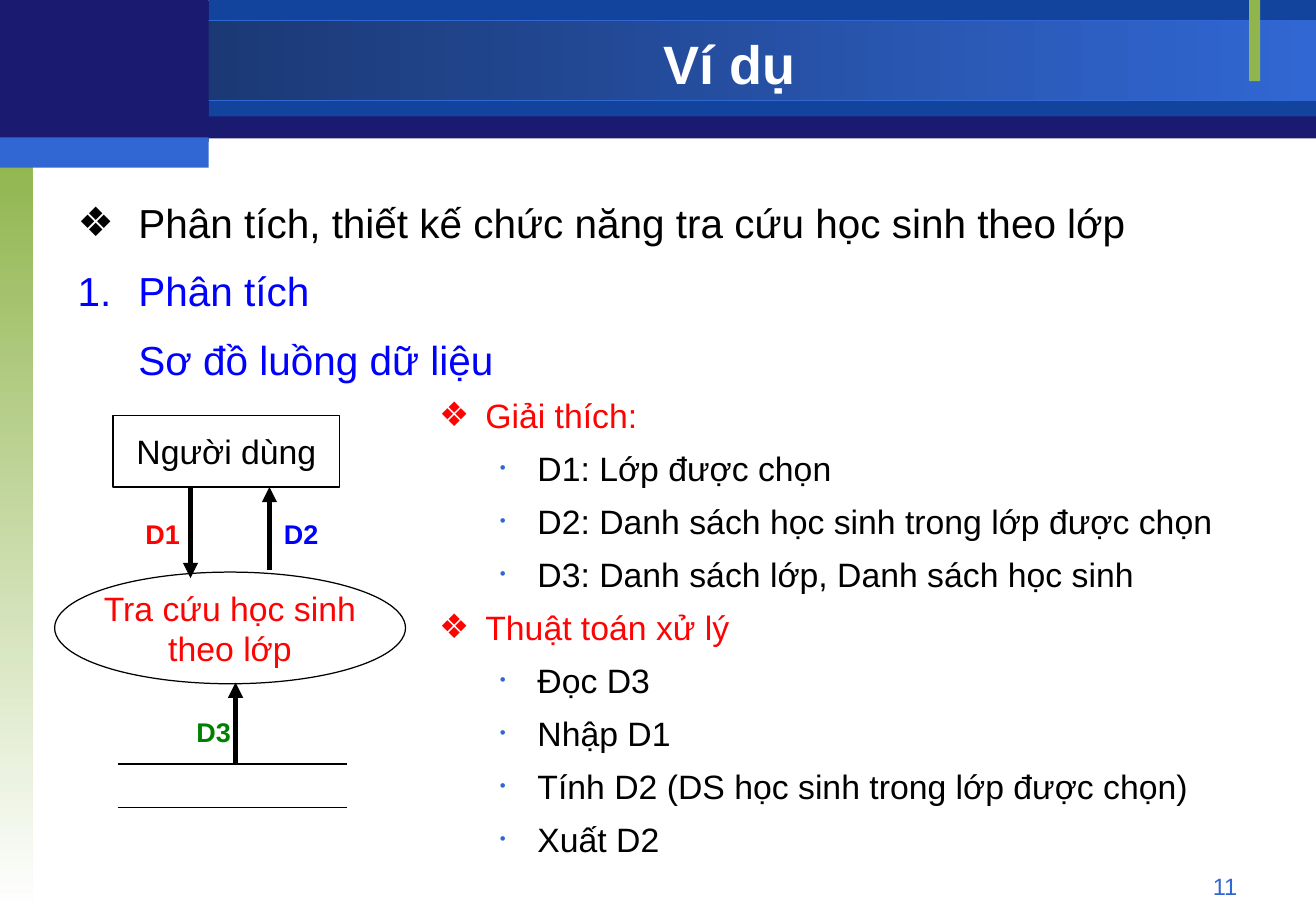
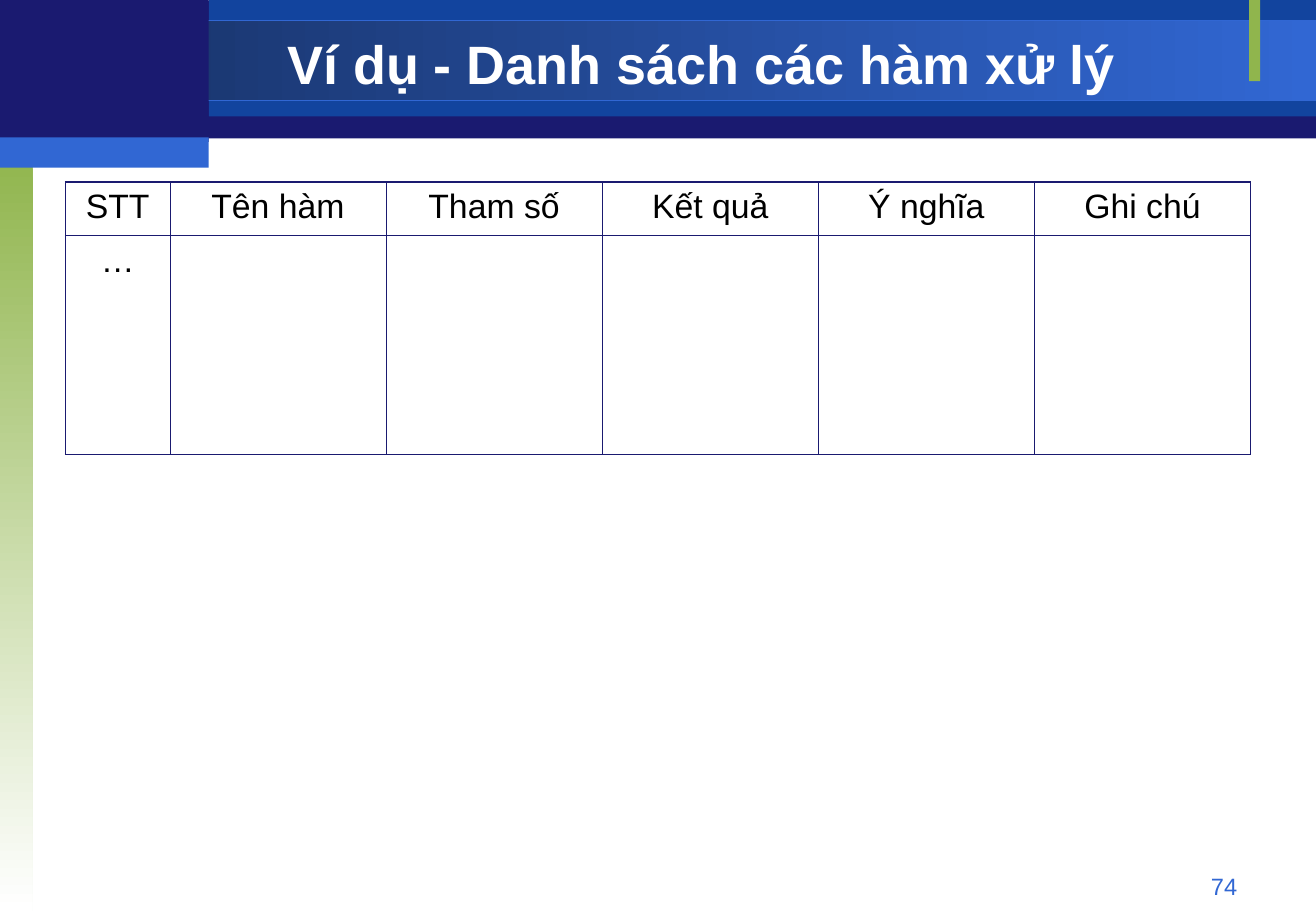
from lxml import etree
from pptx import Presentation
from pptx.dml.color import RGBColor
from pptx.enum.shapes import MSO_CONNECTOR, MSO_SHAPE
from pptx.enum.text import MSO_ANCHOR, MSO_AUTO_SIZE, PP_ALIGN
from pptx.oxml.ns import qn
from pptx.util import Pt

LINE = MSO_CONNECTOR.STRAIGHT
RECT, OVAL = MSO_SHAPE.RECTANGLE, MSO_SHAPE.OVAL
MIDDLE, TOP = MSO_ANCHOR.MIDDLE, MSO_ANCHOR.TOP
NO_FIT = MSO_AUTO_SIZE.NONE
LEFT, CENTER = PP_ALIGN.LEFT, PP_ALIGN.CENTER
RIGHT, JUST = PP_ALIGN.RIGHT, PP_ALIGN.JUSTIFY

FONT = "Arial"
WIDE, HIGH = 780.48, 540
NAVY, DEEP, SKY, GREEN = "1A1A70", "12449E", "3167D3", "90B54D"
BLACK, WHITE, RED, BLUE, LEAF = "000000", "FFFFFF", "FF0303", "0000FF", "008000"
SIDE = 123.8
EDGE, GRID = 1.08, 0.45

BANDS = [
    ((0, 0.7, WIDE, 81.4), NAVY),
    ((SIDE, 0, WIDE - SIDE, 69.1), DEEP),
    ((0, 12.2, WIDE, 47.5), ("173062", SKY, 0)),
    ((0, 90, 19.4, 450), (GREEN, WHITE, 270)),
    ((740.9, 0, 6.5, 48.2), GREEN),
    ((0, 0, SIDE, 84.2), NAVY),
    ((0, 81.4, SIDE, 18), SKY),
]

TASK = [
    ("Phân tích, thiết kế chức năng tra cứu học sinh theo lớp", BLACK, "❖"),
    ("Phân tích", BLUE, "1."),
    ("Sơ đồ luồng dữ liệu", BLUE, None),
]

NOTES = [
    ("Giải thích:", [
        "D1: Lớp được chọn",
        "D2: Danh sách học sinh trong lớp được chọn",
        "D3: Danh sách lớp, Danh sách học sinh",
    ]),
    ("Thuật toán xử lý", [
        "Đọc D3",
        "Nhập D1",
        "Tính D2 (DS học sinh trong lớp được chọn)",
        "Xuất D2",
    ]),
]

HEADS = ["STT", "Tên hàm", "Tham số", "Kết quả", "Ý nghĩa", "Ghi chú"]


def rgb(code):
    return RGBColor.from_string(code)


def pts(box):
    return [Pt(n) for n in box]


def place(shape, box):
    shape.left, shape.top, shape.width, shape.height = pts(box)


def sub(node, tag, **attrs):
    return etree.SubElement(node, qn(tag), attrs)


def style(para, size, color, align=LEFT, bold=False):
    para.alignment = align
    font = para.font
    font.name, font.size, font.bold = FONT, Pt(size), bold
    font.color.rgb = rgb(color)


def bullet(para, mark, color, margin, hang, scale=100):
    props = para._p.get_or_add_pPr()
    props.set("marL", str(Pt(margin)))
    props.set("indent", str(Pt(-hang if mark else 0)))
    if not mark:
        sub(props, "a:buNone")
        return
    sub(sub(props, "a:buClr"), "a:srgbClr", val=color)
    sub(props, "a:buSzPct", val=str(scale * 1000))
    sub(props, "a:buFont", typeface=FONT)
    if mark == "1.":
        sub(props, "a:buAutoNum", type="arabicPeriod")
    else:
        sub(props, "a:buChar", char=mark)


def paras(frame, count):
    for _ in range(count - 1):
        frame.add_paragraph()
    return frame.paragraphs


def write(frame, lines, size, color, align=LEFT, bold=False):
    for para, line in zip(paras(frame, len(lines)), lines):
        para.text = line
        style(para, size, color, align, bold)


def fill_list(frame, items, size, space, gap):
    frame.word_wrap = True
    frame.auto_size = NO_FIT
    frame.vertical_anchor = TOP
    rows = paras(frame, len(items))
    for i, (para, (line, color, look)) in enumerate(zip(rows, items)):
        para.text = line
        para.line_spacing = space
        para.space_before = Pt(gap if i else 0)
        bullet(para, *look)
        style(para, size, color, JUST)


def shape(slide, kind, box, fill=None, line=None):
    item = slide.shapes.add_shape(kind, *pts(box))
    item.shadow.inherit = False
    if isinstance(fill, tuple):
        item.fill.gradient()
        item.fill.gradient_angle = fill[2]
        for stop, code in zip(item.fill.gradient_stops, fill):
            stop.color.rgb = rgb(code)
    elif fill:
        item.fill.solid()
        item.fill.fore_color.rgb = rgb(fill)
    else:
        item.fill.background()
    if line:
        item.line.color.rgb = rgb(line)
        item.line.width = Pt(0.75)
    else:
        item.line.fill.background()
    return item


def node(slide, kind, box, lines, color):
    frame = shape(slide, kind, box, line=BLACK).text_frame
    frame.word_wrap = False
    frame.vertical_anchor = MIDDLE
    write(frame, lines, 20, color, CENTER)


def label(slide, box, line, size, color, align=LEFT, bold=False, wrap=True):
    frame = slide.shapes.add_textbox(*pts(box)).text_frame
    frame.word_wrap = wrap
    write(frame, [line], size, color, align, bold)


def rule(slide, ends, width=0.75, arrow=False):
    item = slide.shapes.add_connector(LINE, *pts(ends))
    item.line.color.rgb = rgb(BLACK)
    item.line.width = Pt(width)
    if arrow:
        sub(item.line._get_or_add_ln(), "a:tailEnd", type="triangle")
    sub(item.element.spPr, "a:effectLst")


def dress(deck, slide):
    tree = deck.slide_master.shapes.element
    for i, (box, fill) in enumerate(BANDS):
        band = shape(slide, RECT, box, fill, SKY if i == 2 else None).element
        band.nvSpPr.cNvPr.set("id", str(50 + i))
        tree.insert(2 + i, band)


def start(deck, layout, title, width, number):
    slide = deck.slides.add_slide(deck.slide_layouts[layout])
    head = slide.shapes.title
    place(head, (SIDE, 16.6, width, 41.8))
    frame = head.text_frame
    frame.auto_size = NO_FIT
    frame.vertical_anchor = MIDDLE
    write(frame, [title], 32, WHITE, CENTER, True)
    label(slide, (558.7, 513.4, 182.2, 19.4), number, 14, SKY, RIGHT)
    return slide


def flow(slide):
    node(slide, RECT, (67, 246.2, 134.6, 42.5), ["Người dùng"], BLACK)
    node(slide, OVAL, (32.4, 339.1, 208.1, 66.2),
         ["Tra cứu học sinh", "theo lớp"], RED)
    for y in (452.9, 478.8):
        rule(slide, (69.8, y, 205.9, y))
    for x, y, end in ((113, 288.7, 342.7), (159.8, 337.7, 288.7),
                      (139.7, 452.2, 404.6)):
        rule(slide, (x, y, x, end), 3, True)
    for name, x, y, color in (("D1", 79.2, 303.1, RED),
                              ("D2", 161.3, 303.1, BLUE),
                              ("D3", 109.4, 420.5, LEAF)):
        label(slide, (x, y, 34.6, 26.6), name, 16, color, LEFT, True, False)


def notes(slide):
    items = []
    for head, points in NOTES:
        items.append((head, RED, ("❖", RED, 27.4, 27.4)))
        items += [(point, BLACK, ("•", SKY, 58.3, 22.3, 50)) for point in points]
    box = slide.shapes.add_textbox(*pts((253.4, 228.2, 513.4, 293.8)))
    fill_list(box.text_frame, items, 20, 1.1, 5)


def border(cell, sides):
    props = cell._tc.get_or_add_tcPr()
    for side, width in zip("LRTB", sides):
        line = sub(props, "a:ln" + side, w=str(Pt(width)))
        sub(sub(line, "a:solidFill"), "a:srgbClr", val=NAVY)


def table(slide):
    grid = [HEADS, ["…"] + [""] * 5]
    item = slide.shapes.add_table(2, 6, *pts((38.9, 108, 702.9, 161.3))).table
    item.first_row = item.horz_banding = False
    for i, col in enumerate(item.columns):
        col.width = Pt(128.2 if i else 61.9)
    for row, high in zip(item.rows, (31.7, 129.6)):
        row.height = Pt(high)
    for r, line in enumerate(grid):
        for c, word in enumerate(line):
            cell = item.cell(r, c)
            cell.margin_left = cell.margin_right = Pt(7.9)
            outer = (c == 0, c == 5, r == 0, r == 1)
            border(cell, [EDGE if out else GRID for out in outer])
            cell.fill.background()
            write(cell.text_frame, [word], 20, BLACK, CENTER)


def main():
    deck = Presentation()
    deck.slide_width, deck.slide_height = pts((WIDE, HIGH))

    first = start(deck, 1, "Ví dụ", 617.8, "11")
    dress(deck, first)
    body = first.placeholders[1]
    place(body, (38.9, 108, 702, 396))
    items = [(line, color, (mark, color, 36, 36)) for line, color, mark in TASK]
    fill_list(body.text_frame, items, 24, 1.2, 6)
    flow(first)
    notes(first)

    table(start(deck, 5, "Ví dụ - Danh sách các hàm xử lý", 584.6, "74"))
    deck.save("out.pptx")


if __name__ == "__main__":
    main()
